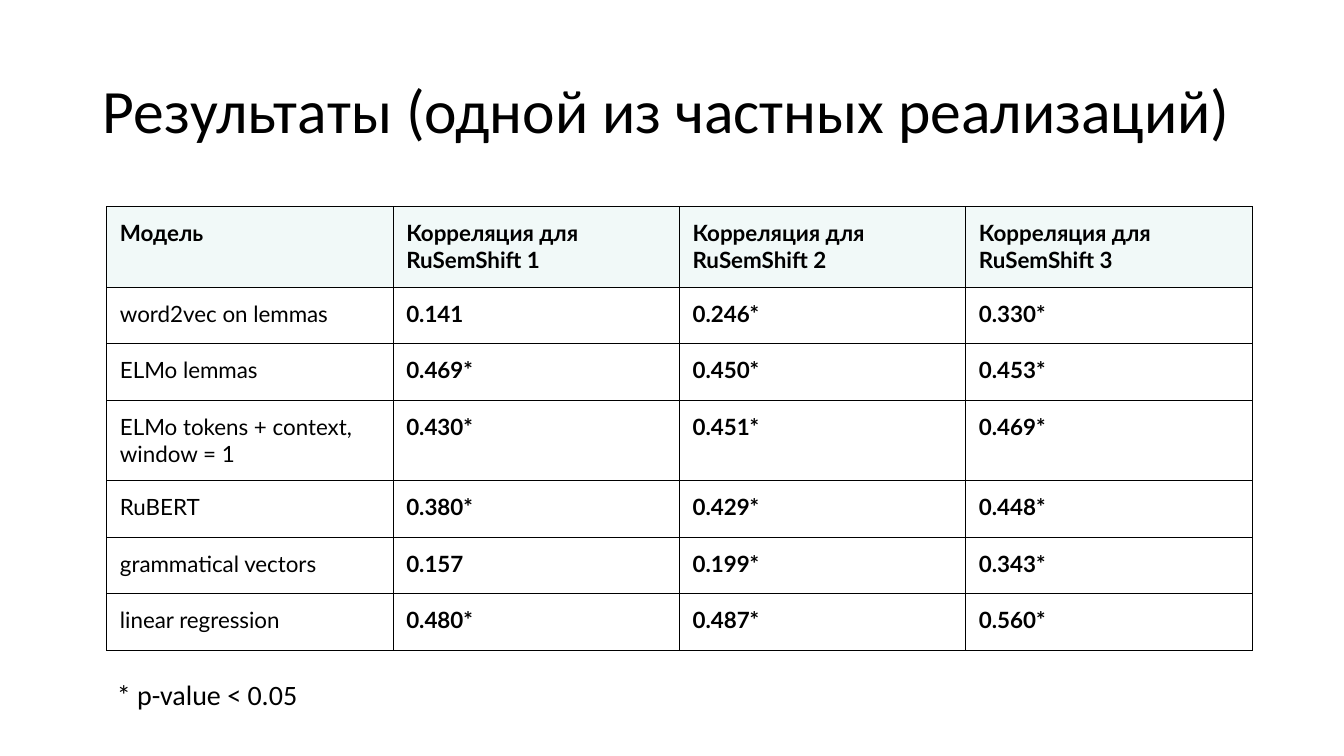
from dataclasses import dataclass

from lxml import etree
from pptx import Presentation
from pptx.dml.color import RGBColor
from pptx.enum.text import MSO_ANCHOR
from pptx.oxml.ns import qn
from pptx.slide import Slide
from pptx.table import _Cell
from pptx.text.text import _Paragraph
from pptx.util import Inches, Pt

MIDDLE, TOP = MSO_ANCHOR.MIDDLE, MSO_ANCHOR.TOP
COLORS = {"text": "000000", "border": "000000", "header": "1A9988"}
HEADER_OPACITY = 6  # percent
BORDER_WIDTH = 0.75  # points
CELL_MARGIN = 0.13
COLUMN_WIDTH = 2.84
ROW_HEIGHT, TALL_ROW_HEIGHT = 0.56, 0.8


@dataclass
class TextItem:
    text: str
    left: float
    top: float
    width: float
    height: float
    size: int
    anchor: MSO_ANCHOR = TOP
    line_spacing: float = 1.0


@dataclass
class ResultRow:
    model: str
    values: tuple[str, str, str]
    height: float = ROW_HEIGHT
    is_header: bool = False


TEXTS = [
    TextItem("Результаты (одной из частных реализаций)",
             0.92, 0.4, 11.5, 1.45, 44, MIDDLE, 0.9),
    TextItem("* p-value < 0.05", 1.06, 6.67, 11.22, 0.44, 20),
]
HEADINGS = tuple(f"Корреляция для RuSemShift {number}" for number in (1, 2, 3))
RESULTS = [
    ResultRow("Модель", HEADINGS, TALL_ROW_HEIGHT, True),
    ResultRow("word2vec on lemmas", ("0.141", "0.246*", "0.330*")),
    ResultRow("ELMo lemmas", ("0.469*", "0.450*", "0.453*")),
    ResultRow("ELMo tokens + context, window = 1",
              ("0.430*", "0.451*", "0.469*"), TALL_ROW_HEIGHT),
    ResultRow("RuBERT", ("0.380*", "0.429*", "0.448*")),
    ResultRow("grammatical vectors", ("0.157", "0.199*", "0.343*")),
    ResultRow("linear regression", ("0.480*", "0.487*", "0.560*")),
]


def format_spans(para: _Paragraph, font: str, size: int, bold: bool) -> None:
    for span in para.runs:
        span.font.name = font
        span.font.size = Pt(size)
        span.font.bold = bold
        span.font.color.rgb = RGBColor.from_string(COLORS["text"])


def add_text(page: Slide, item: TextItem) -> None:
    box = page.shapes.add_textbox(Inches(item.left), Inches(item.top),
                                  Inches(item.width), Inches(item.height))
    frame = box.text_frame
    frame.word_wrap = True
    frame.vertical_anchor = item.anchor
    frame.text = item.text
    para = frame.paragraphs[0]
    para.line_spacing = item.line_spacing
    format_spans(para, "Calibri", item.size, False)


def add_borders(cell: _Cell) -> None:
    properties = cell._tc.get_or_add_tcPr()
    for index, side in enumerate(("lnL", "lnR", "lnT", "lnB")):
        line = etree.Element(qn(f"a:{side}"), w=str(Pt(BORDER_WIDTH)))
        fill = etree.SubElement(line, qn("a:solidFill"))
        etree.SubElement(fill, qn("a:srgbClr"), val=COLORS["border"])
        properties.insert(index, line)


def fill_cell(cell: _Cell, is_header: bool) -> None:
    """Tint a header cell and leave any other cell clear."""
    if not is_header:
        cell.fill.background()
        return
    cell.fill.solid()
    cell.fill.fore_color.rgb = RGBColor.from_string(COLORS["header"])
    color = cell._tc.tcPr.find(f"{qn('a:solidFill')}/{qn('a:srgbClr')}")
    etree.SubElement(color, qn("a:alpha"), val=str(HEADER_OPACITY * 1000))


def add_results_table(page: Slide, rows: list[ResultRow]) -> None:
    column_count = 1 + len(HEADINGS)
    table = page.shapes.add_table(
        len(rows), column_count, Inches(1.06), Inches(2.05),
        Inches(COLUMN_WIDTH * column_count),
        Inches(sum(row.height for row in rows))).table
    table.horz_banding = False
    table.first_row = False
    for column in table.columns:
        column.width = Inches(COLUMN_WIDTH)
    for row_index, row in enumerate(rows):
        table.rows[row_index].height = Inches(row.height)
        for column_index, text in enumerate((row.model, *row.values)):
            cell = table.cell(row_index, column_index)
            cell.margin_left = cell.margin_right = Inches(CELL_MARGIN)
            cell.margin_top = cell.margin_bottom = Inches(CELL_MARGIN)
            cell.text_frame.text = text
            bold = row.is_header or column_index > 0
            format_spans(cell.text_frame.paragraphs[0], "Lato", 16, bold)
            fill_cell(cell, row.is_header)
            add_borders(cell)


def main() -> None:
    deck = Presentation()
    deck.slide_width, deck.slide_height = Inches(13.33), Inches(7.5)
    page = deck.slides.add_slide(deck.slide_layouts[6])
    for item in TEXTS:
        add_text(page, item)
    add_results_table(page, RESULTS)
    deck.save("out.pptx")


if __name__ == "__main__":
    main()
